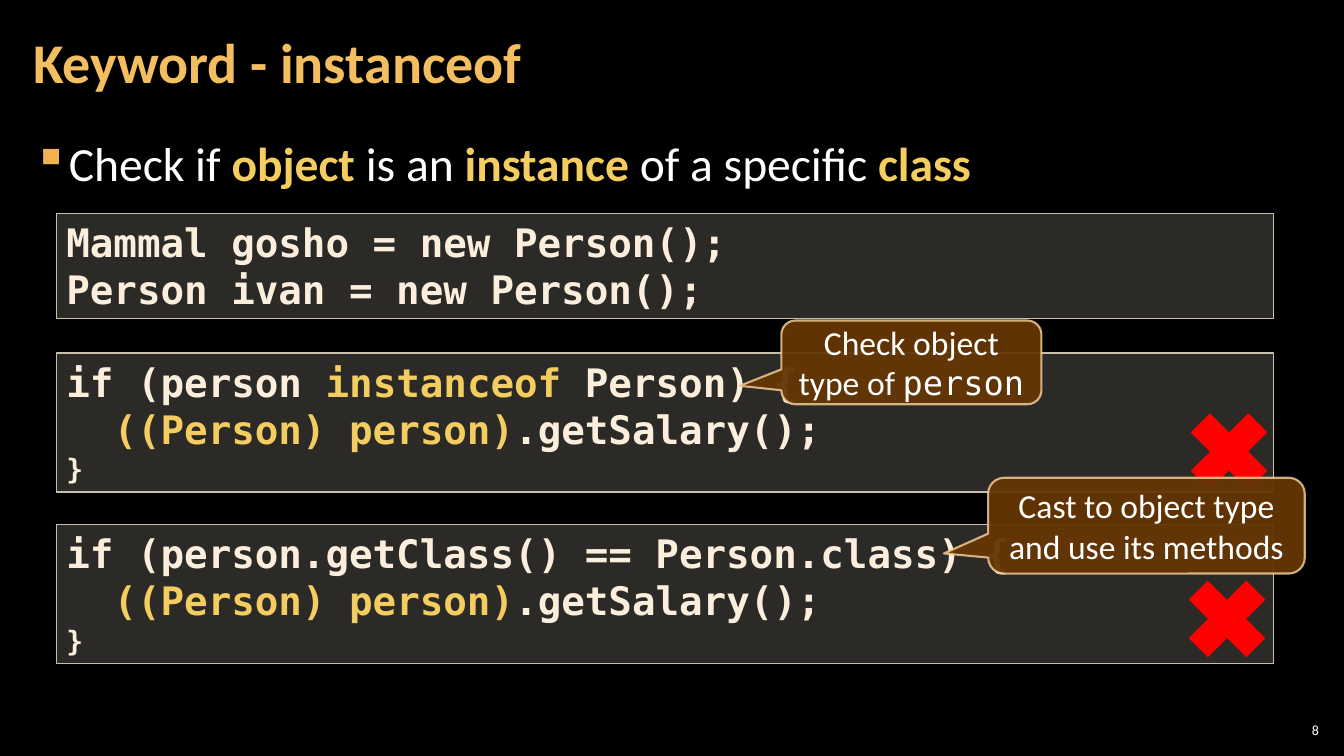
from lxml import etree
from pptx import Presentation
from pptx.dml.color import RGBColor
from pptx.enum.shapes import MSO_SHAPE
from pptx.enum.text import MSO_ANCHOR, MSO_AUTO_SIZE, PP_ALIGN
from pptx.oxml.ns import qn
from pptx.util import Inches, Pt

RECTANGLE = MSO_SHAPE.RECTANGLE
CALLOUT = MSO_SHAPE.ROUNDED_RECTANGULAR_CALLOUT
CROSS = MSO_SHAPE.MATH_MULTIPLY
TOP, MIDDLE = MSO_ANCHOR.TOP, MSO_ANCHOR.MIDDLE
LEFT, CENTER, RIGHT = PP_ALIGN.LEFT, PP_ALIGN.CENTER, PP_ALIGN.RIGHT

BLACK = RGBColor(0x00, 0x00, 0x00)
WHITE = RGBColor(0xFF, 0xFF, 0xFF)
RED = RGBColor(0xFF, 0x00, 0x00)
TITLE_GOLD = RGBColor(0xF3, 0xBE, 0x60)
BULLET_GOLD = RGBColor(0xF2, 0xB2, 0x54)
YELLOW = RGBColor(0xF3, 0xCD, 0x60)
CREAM = RGBColor(0xFB, 0xEE, 0xDC)
CODE_FILL = RGBColor(0xD9, 0xD5, 0xC7)
CODE_LINE = RGBColor(0xC7, 0xBF, 0xAC)
BROWN = RGBColor(0x66, 0x36, 0x06)
CALLOUT_LINE = RGBColor(0xF8, 0xD4, 0x9E)

BODY_FONT, CODE_FONT = "Calibri", "DejaVu Sans Mono"
WIDTH, HEIGHT = Inches(13.33), Inches(7.5)
CODE_LEFT, CODE_WIDTH = 4.2, 90.55
CODE_TOP, CODE_STEP = 46.67, 22.67

HIGHLIGHT = {"color": YELLOW, "bold": True}
CAST_LINES = [
    ["  ", ("((Person) person)", HIGHLIGHT), ".getSalary();"],
    [("}", {"size": 20})],
]


def box(left, top, width, height):
    """Turn percentages of the slide into lengths."""
    return (int(WIDTH * left / 100), int(HEIGHT * top / 100),
            int(WIDTH * width / 100), int(HEIGHT * height / 100))


def set_opacity(color_format_parent, percent):
    color = next(color_format_parent.iter(qn("a:srgbClr")))
    etree.SubElement(color, qn("a:alpha")).set("val", str(percent * 1000))


def write_text(shape, lines, *, font=BODY_FONT, size=24, color=WHITE, bold=False,
               align=LEFT, anchor=TOP, insets=(0.1, 0.05), line_spacing=None):
    frame = shape.text_frame
    frame.word_wrap = True
    frame.auto_size = MSO_AUTO_SIZE.NONE
    frame.vertical_anchor = anchor
    frame.margin_left = frame.margin_right = Inches(insets[0])
    frame.margin_top = frame.margin_bottom = Inches(insets[1])
    for index, line in enumerate(lines):
        paragraph = frame.add_paragraph() if index else frame.paragraphs[0]
        paragraph.alignment = align
        paragraph.space_before = paragraph.space_after = Pt(0)
        paragraph.line_spacing = line_spacing
        for part in line:
            text, changes = part if isinstance(part, tuple) else (part, {})
            style = {"font": font, "size": size, "color": color, "bold": bold, **changes}
            run = paragraph.add_run()
            run.text = text
            run.font.name = style["font"]
            run.font.size = Pt(style["size"])
            run.font.bold = style["bold"]
            run.font.color.rgb = style["color"]


def add_bullet(paragraph):
    paragraph.space_before = paragraph.space_after = Pt(6)
    properties = paragraph._p.get_or_add_pPr()
    properties.set("marL", str(Inches(0.33)))
    properties.set("indent", str(-Inches(0.33)))
    bullet_color = etree.SubElement(properties, qn("a:buClr"))
    etree.SubElement(bullet_color, qn("a:srgbClr")).set("val", str(BULLET_GOLD))
    etree.SubElement(properties, qn("a:buChar")).set("char", "▪")


def add_filled_shape(slide, kind, place, fill, line, line_width=1,
                     fill_opacity=100, line_opacity=100):
    shape = slide.shapes.add_shape(kind, *box(*place))
    shape.shadow.inherit = False
    shape.fill.solid()
    shape.fill.fore_color.rgb = fill
    shape.line.color.rgb = line
    shape.line.width = Pt(line_width)
    properties = shape._element.spPr
    if fill_opacity < 100:
        set_opacity(properties.find(qn("a:solidFill")), fill_opacity)
    if line_opacity < 100:
        set_opacity(properties.find(qn("a:ln")), line_opacity)
    return shape


def add_code(slide, top, height, lines):
    shape = add_filled_shape(slide, RECTANGLE, (CODE_LEFT, top, CODE_WIDTH, height),
                             CODE_FILL, CODE_LINE, fill_opacity=20)
    write_text(shape, lines, font=CODE_FONT, size=28, color=CREAM, bold=True)


def add_callout(slide, place, tip, line):
    shape = add_filled_shape(slide, CALLOUT, place, BROWN, CALLOUT_LINE, 1.5, 95, 80)
    shape.adjustments[0], shape.adjustments[1] = tip
    write_text(shape, [line], align=CENTER, anchor=MIDDLE)


def add_text(slide, place, lines, **text_format):
    shape = slide.shapes.add_textbox(*box(*place))
    write_text(shape, lines, **text_format)
    return shape


def main():
    presentation = Presentation()
    presentation.slide_width, presentation.slide_height = WIDTH, HEIGHT
    slide = presentation.slides.add_slide(presentation.slide_layouts[5])
    slide.background.fill.solid()
    slide.background.fill.fore_color.rgb = BLACK

    title = slide.shapes.title
    title.left, title.top, title.width, title.height = box(1.58, 0.53, 78.54, 16.13)
    write_text(title, [["Keyword - instanceof"]], size=40, color=TITLE_GOLD, bold=True,
               anchor=MIDDLE, insets=(0.12, 0.04), line_spacing=0.9)

    statement = add_text(
        slide, (1.58, 16.8, 96.85, 81.2),
        [["Check if ", ("object", HIGHLIGHT), " is an ", ("instance", HIGHLIGHT),
          " of a specific ", ("class", HIGHLIGHT)]],
        size=34, insets=(0.12, 0.04), line_spacing=1.05)
    add_bullet(statement.text_frame.paragraphs[0])

    add_code(slide, 28.27, 13.87,
             [["Mammal gosho = new Person();"], ["Person ivan = new Person();"]])
    conditions = [
        ["if (person ", ("instanceof", HIGHLIGHT), " Person) {"],
        ["if (person.getClass() == Person.class) {"],
    ]
    for row, condition in enumerate(conditions):
        add_code(slide, CODE_TOP + row * CODE_STEP, 18.4, [condition, *CAST_LINES])
    for left, top in ((87.4, 52.53), (87.25, 74.67)):
        add_filled_shape(slide, CROSS, (left, top, 8.1, 14.4), RED, RED)

    add_callout(slide, (58.14, 42.4, 19.35, 11.07), (-0.66, 0.28),
                ["Check object type of ", ("person", {"font": CODE_FONT})])
    add_callout(slide, (73.52, 63.2, 23.56, 12.67), (-0.64, 0.29),
                ["Cast to object type and use its methods"])
    add_text(slide, (94.9, 95.2, 3.53, 2.8), [["8"]], size=10, align=RIGHT,
             anchor=MIDDLE, insets=(0.04, 0.04))
    presentation.save("out.pptx")


if __name__ == "__main__":
    main()
